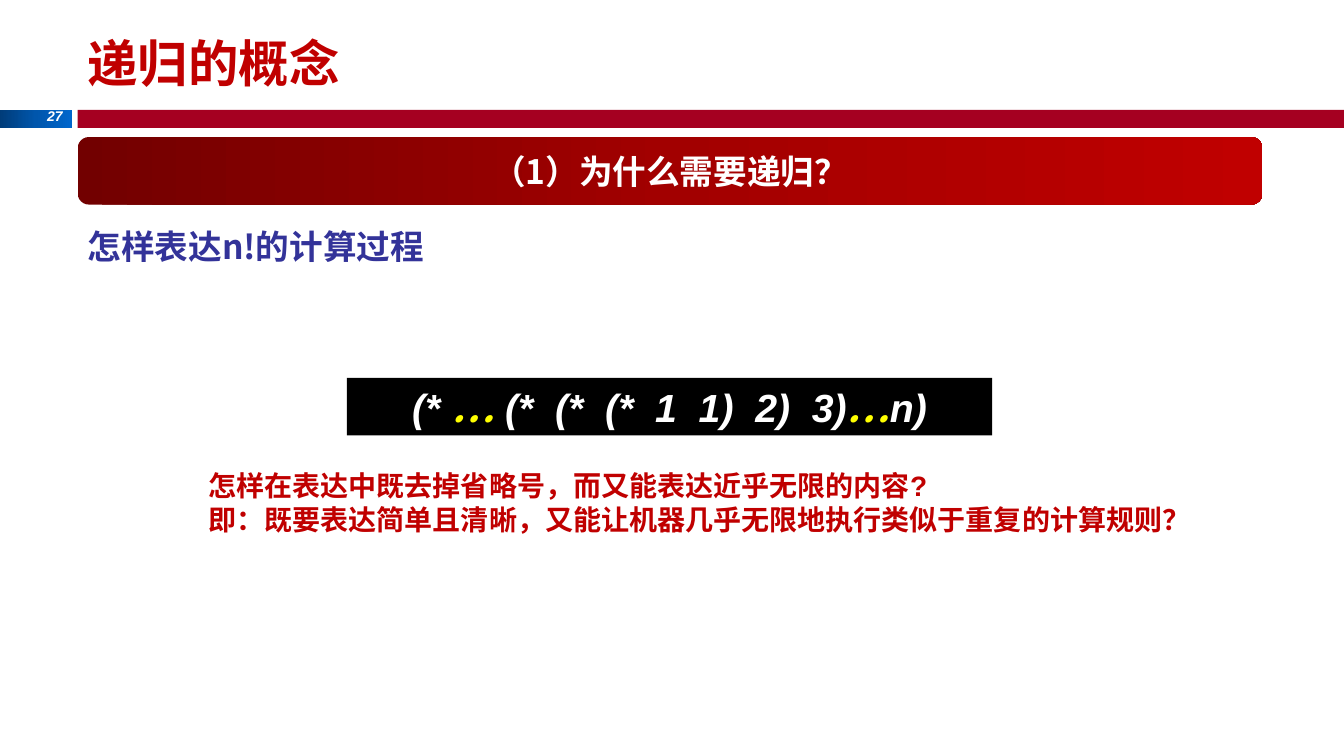
from copy import deepcopy

from pptx import Presentation
from pptx import util as u
from pptx.dml import color
from pptx.enum import shapes, text
from pptx.oxml import ns

theme = {
    "latin": "Arial", "chinese": "Noto Sans CJK SC",
    "white": "FFFFFF", "black": "000000", "yellow": "FFFF00",
    "red": "C00000", "crimson": "A50021", "indigo": "333399",
    "blue_fade": ("003C79", "0056AC", "0066CC"),
    "red_fade": ("720000", "A20000", "C00000"),
    "number": 10, "body": 20, "heading": 24, "formula": 28, "title": 36,
}

deck = Presentation()
deck.slide_width, deck.slide_height = u.Inches(13.33), u.Inches(7.5)
page = deck.slides.add_slide(deck.slide_layouts[6])


def add_panel(place, fill, kind=shapes.MSO_SHAPE.RECTANGLE):
    panel = page.shapes.add_shape(kind, *map(u.Inches, place))
    panel.shadow.inherit = False
    panel.line.fill.background()
    if isinstance(fill, str):
        panel.fill.solid()
        panel.fill.fore_color.rgb = color.RGBColor.from_string(fill)
        return panel
    panel.fill.gradient()
    panel.fill.gradient_angle = 0
    stop_list = panel._element.spPr.find(".//" + ns.qn("a:gsLst"))
    stop_list.insert(1, deepcopy(stop_list[0]))
    for stop, position, shade in zip(panel.fill.gradient_stops, (0, 0.5, 1), fill):
        stop.position = position
        stop.color.rgb = color.RGBColor.from_string(shade)
    return panel


def write(box, lines, size, align="LEFT", anchor="TOP", wrap=True, spacing=None, italic=False):
    frame = box.text_frame
    frame.word_wrap = wrap
    frame.vertical_anchor = text.MSO_ANCHOR[anchor]
    for index, line in enumerate(lines):
        para = frame.add_paragraph() if index else frame.paragraphs[0]
        para.alignment = text.PP_ALIGN[align]
        para.line_spacing = spacing
        for words, font, shade in line:
            span = para.add_run()
            span.text = words
            look = {"name": theme[font], "size": u.Pt(theme[size]), "bold": True, "italic": italic}
            for key, value in look.items():
                setattr(span.font, key, value)
            span.font.color.rgb = color.RGBColor.from_string(theme[shade])
            east_asian = deepcopy(span.font._element.find(ns.qn("a:latin")))
            east_asian.tag = ns.qn("a:ea")
            east_asian.set("typeface", theme["chinese"])
            span.font._element.append(east_asian)


add_panel((0, 1.09, 0.71, 0.18), theme["blue_fade"])
add_panel((0.77, 1.09, 12.56, 0.18), theme["crimson"])

formula = add_panel((3.44, 3.75, 6.4, 0.57), theme["black"])
write(formula, [[
    ("(* ", "latin", "white"),
    ("…", "chinese", "yellow"),
    (" (*  (*  (*  1  1)  2)  3)", "latin", "white"),
    ("…", "chinese", "yellow"),
    ("n)", "latin", "white"),
]], "formula", align="CENTER", wrap=False, italic=True)

banner = add_panel((0.77, 1.36, 11.75, 0.67), theme["red_fade"], shapes.MSO_SHAPE.ROUNDED_RECTANGLE)
write(banner, [[("（1）为什么需要递归？", "chinese", "white")]], "heading", align="CENTER", anchor="MIDDLE")

text_boxes = [
    ((0.35, 1.02, 0.37, 0.27), ["27"], "latin", "white",
     {"size": "number", "align": "RIGHT", "wrap": False, "italic": True}),
    ((1.97, 4.6, 10.17, 0.77),
     ["怎样在表达中既去掉省略号，而又能表达近乎无限的内容?",
      "即：既要表达简单且清晰，又能让机器几乎无限地执行类似于重复的计算规则？"],
     "latin", "red", {"size": "body"}),
    ((0.77, 0.2, 11.67, 0.83), ["递归的概念"], "chinese", "red",
     {"size": "title", "anchor": "MIDDLE"}),
    ((0.77, 2.03, 3.99, 0.67), ["怎样表达n!的计算过程"], "chinese", "indigo",
     {"size": "heading", "spacing": 1.4}),
]
for place, lines, font, shade, layout in text_boxes:
    box = page.shapes.add_textbox(*map(u.Inches, place))
    write(box, [[(line, font, shade)] for line in lines], **layout)

deck.save("out.pptx")
